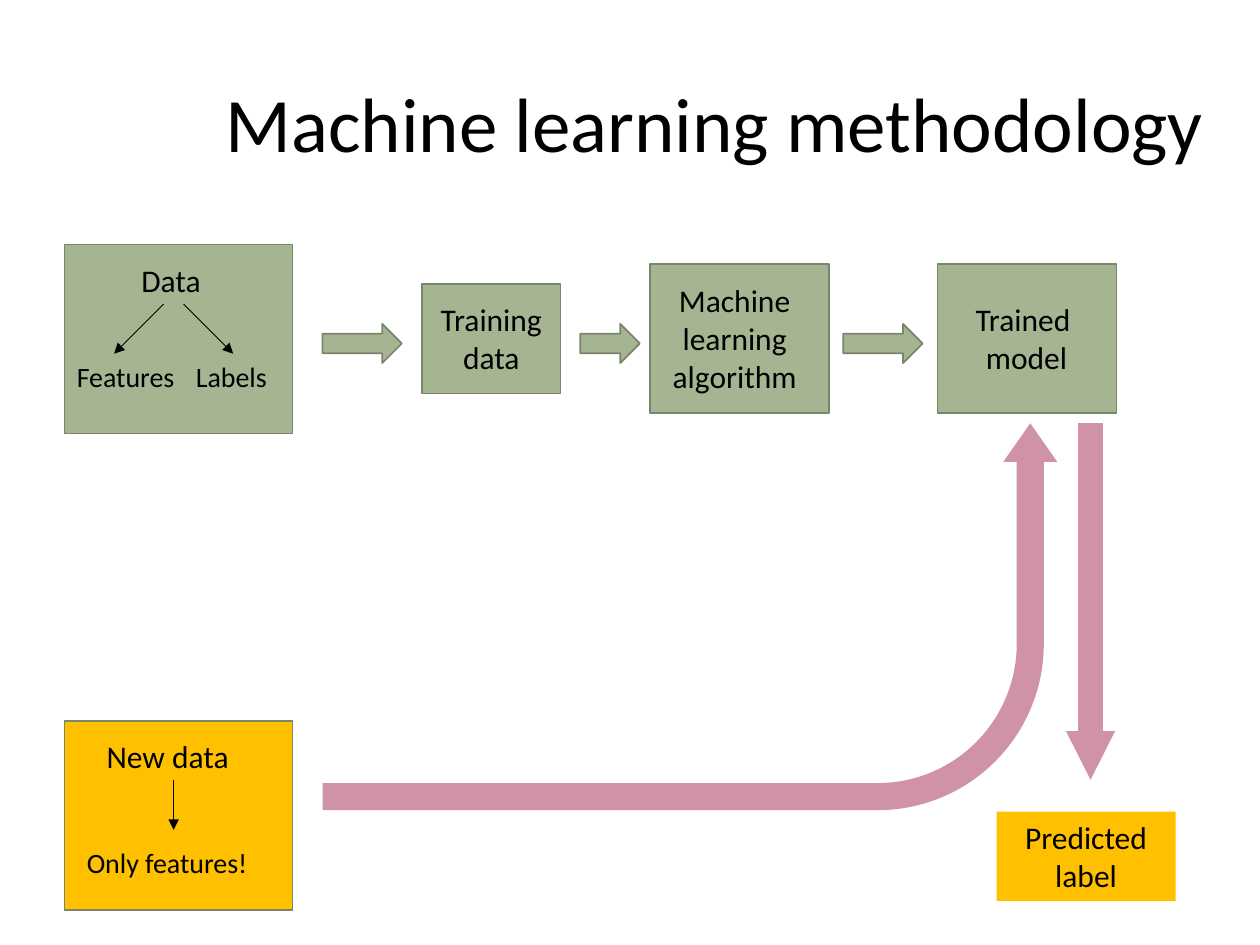
from lxml import etree
from pptx import Presentation
from pptx.dml.color import RGBColor
from pptx.enum.shapes import MSO_CONNECTOR, MSO_SHAPE
from pptx.enum.text import MSO_ANCHOR, PP_ALIGN
from pptx.oxml.ns import qn
from pptx.util import Cm, Pt

BLACK = RGBColor(0x00, 0x00, 0x00)
GREEN = RGBColor(0xA5, 0xB5, 0x92)
GREEN_EDGE = RGBColor(0x7A, 0x86, 0x6C)
AMBER = RGBColor(0xFF, 0xC0, 0x00)
PINK = RGBColor(0xD0, 0x92, 0xA7)

RECTANGLE = MSO_SHAPE.RECTANGLE
RIGHT_ARROW = MSO_SHAPE.RIGHT_ARROW
DOWN_ARROW = MSO_SHAPE.DOWN_ARROW
BENT_ARROW = MSO_SHAPE.BENT_ARROW
STRAIGHT = MSO_CONNECTOR.STRAIGHT
LEFT = PP_ALIGN.LEFT
CENTER = PP_ALIGN.CENTER
TOP = MSO_ANCHOR.TOP
MIDDLE = MSO_ANCHOR.MIDDLE

ROW_CENTER = 6.83
ARROW_TOP = 6.53
ARROW_HEIGHT = 0.79
DATA_SIZE = (4.6, 3.81)


def write_text(frame, text, size=18, align=LEFT, anchor=TOP, spacing=None):
    frame.word_wrap = True
    frame.vertical_anchor = anchor
    for index, line in enumerate(text.split("\n")):
        para = frame.add_paragraph() if index else frame.paragraphs[0]
        para.alignment = align
        para.line_spacing = spacing
        span = para.add_run()
        span.text = line
        span.font.name = "Calibri"
        span.font.size = Pt(size)
        span.font.color.rgb = BLACK


def add_title(slide, text):
    title = slide.shapes.title
    title.left, title.top = Cm(4.29), Cm(0.74)
    title.width, title.height = Cm(21.89), Cm(3.68)
    write_text(title.text_frame, text, size=44, anchor=MIDDLE, spacing=0.9)


def add_block(slide, kind, left, top, width, height, fill, edge=None):
    block = slide.shapes.add_shape(kind, Cm(left), Cm(top), Cm(width), Cm(height))
    block.shadow.inherit = False
    block.fill.solid()
    block.fill.fore_color.rgb = fill
    if edge is None:
        block.line.fill.background()
    else:
        block.line.color.rgb = edge
        block.line.width = Pt(1)
    return block


def add_label(slide, text, left, top, width, height, **text_format):
    box = slide.shapes.add_textbox(Cm(left), Cm(top), Cm(width), Cm(height))
    write_text(box.text_frame, text, **text_format)


def add_thin_arrow(slide, start_x, start_y, end_x, end_y):
    arrow = slide.shapes.add_connector(
        STRAIGHT, Cm(start_x), Cm(start_y), Cm(end_x), Cm(end_y))
    arrow.line.color.rgb = BLACK
    arrow.line.width = Pt(0.5)
    line = arrow.line._get_or_add_ln()
    etree.SubElement(line, qn("a:tailEnd"), type="triangle")
    etree.SubElement(arrow._element.spPr, qn("a:effectLst"))


def set_adjustments(block, values):
    for index, value in enumerate(values):
        block.adjustments[index] = value


def add_training_row(slide):
    steps = [
        ("Trained \nmodel", 18.9, 3.61, 3.0, 19.3, 2.79, 1.8),
        ("Training data", 8.51, 2.79, 2.21, 8.51, 2.79, 1.8),
        ("Machine learning algorithm", 13.11, 3.61, 3.0, 13.11, 3.4, 2.57),
    ]
    for text, left, width, height, text_left, text_width, text_height in steps:
        add_block(slide, RECTANGLE, left, ROW_CENTER - height / 2,
                  width, height, GREEN, GREEN_EDGE)
        add_label(slide, text, text_left, ROW_CENTER - text_height / 2,
                  text_width, text_height, align=CENTER)
    for left, width in [(6.5, 1.6), (11.7, 1.2), (17.0, 1.6)]:
        add_block(slide, RIGHT_ARROW, left, ARROW_TOP, width, ARROW_HEIGHT,
                  GREEN, GREEN_EDGE)


def add_data_box(slide):
    add_block(slide, RECTANGLE, 1.3, 4.93, *DATA_SIZE, GREEN, GREEN_EDGE)
    add_label(slide, "Data", 2.6, 5.13, 2.6, 1.02)
    for text, left, start_x, end_x in [("Features", 1.3, 3.3, 2.3),
                                       ("Labels", 3.7, 3.7, 4.7)]:
        add_thin_arrow(slide, start_x, 6.13, end_x, 7.13)
        add_label(slide, text, left, 7.13, 2.8, 0.94, size=16)


def add_new_data_box(slide):
    add_block(slide, RECTANGLE, 1.3, 14.53, *DATA_SIZE, AMBER, GREEN_EDGE)
    add_label(slide, "New data", 1.9, 14.73, 3.68, 1.02)
    add_thin_arrow(slide, 3.5, 15.73, 3.5, 16.73)
    add_label(slide, "Only features!", 1.5, 16.92, 4.6, 0.94, size=16)


def add_prediction_flow(slide):
    upward = add_block(slide, BENT_ARROW, 10.01, 5.03, 7.8, 14.81, PINK)
    set_adjustments(upward, [0.07, 0.07, 0.1, 0.43])
    upward.rotation = 270
    upward._element.spPr.find(qn("a:xfrm")).set("flipV", "1")
    downward = add_block(slide, DOWN_ARROW, 21.49, 8.53, 0.99, 7.19, PINK)
    set_adjustments(downward, [0.5, 0.99])
    prediction = add_block(slide, RECTANGLE, 20.09, 16.36, 3.61, 1.8, AMBER)
    write_text(prediction.text_frame, "Predicted\nlabel", align=CENTER, anchor=MIDDLE)


def main():
    deck = Presentation()
    deck.slide_width, deck.slide_height = Cm(25.4), Cm(19.05)
    slide = deck.slides.add_slide(deck.slide_layouts[5])
    add_title(slide, "Machine learning methodology")
    add_training_row(slide)
    add_data_box(slide)
    add_new_data_box(slide)
    add_prediction_flow(slide)
    deck.save("out.pptx")


if __name__ == "__main__":
    main()
